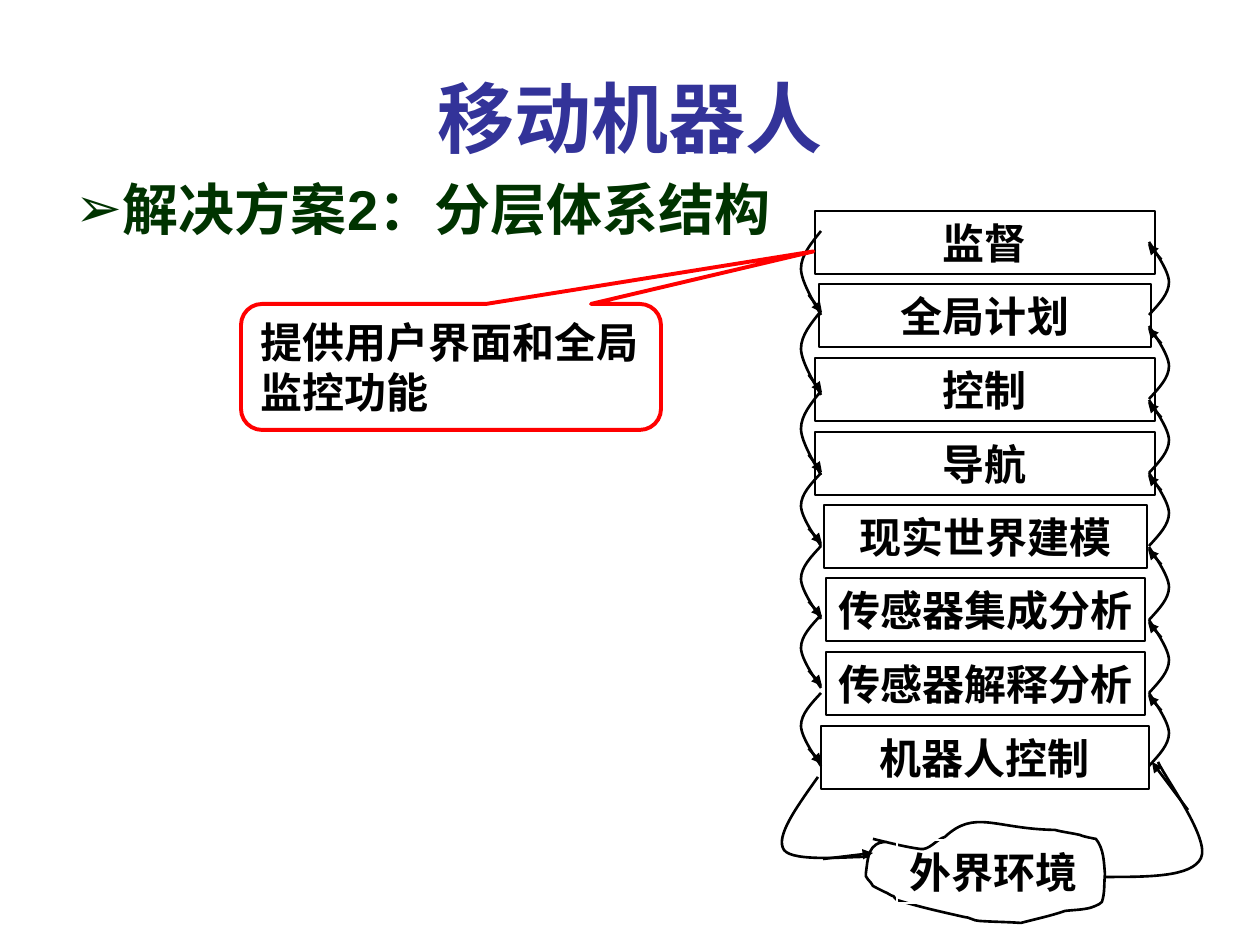
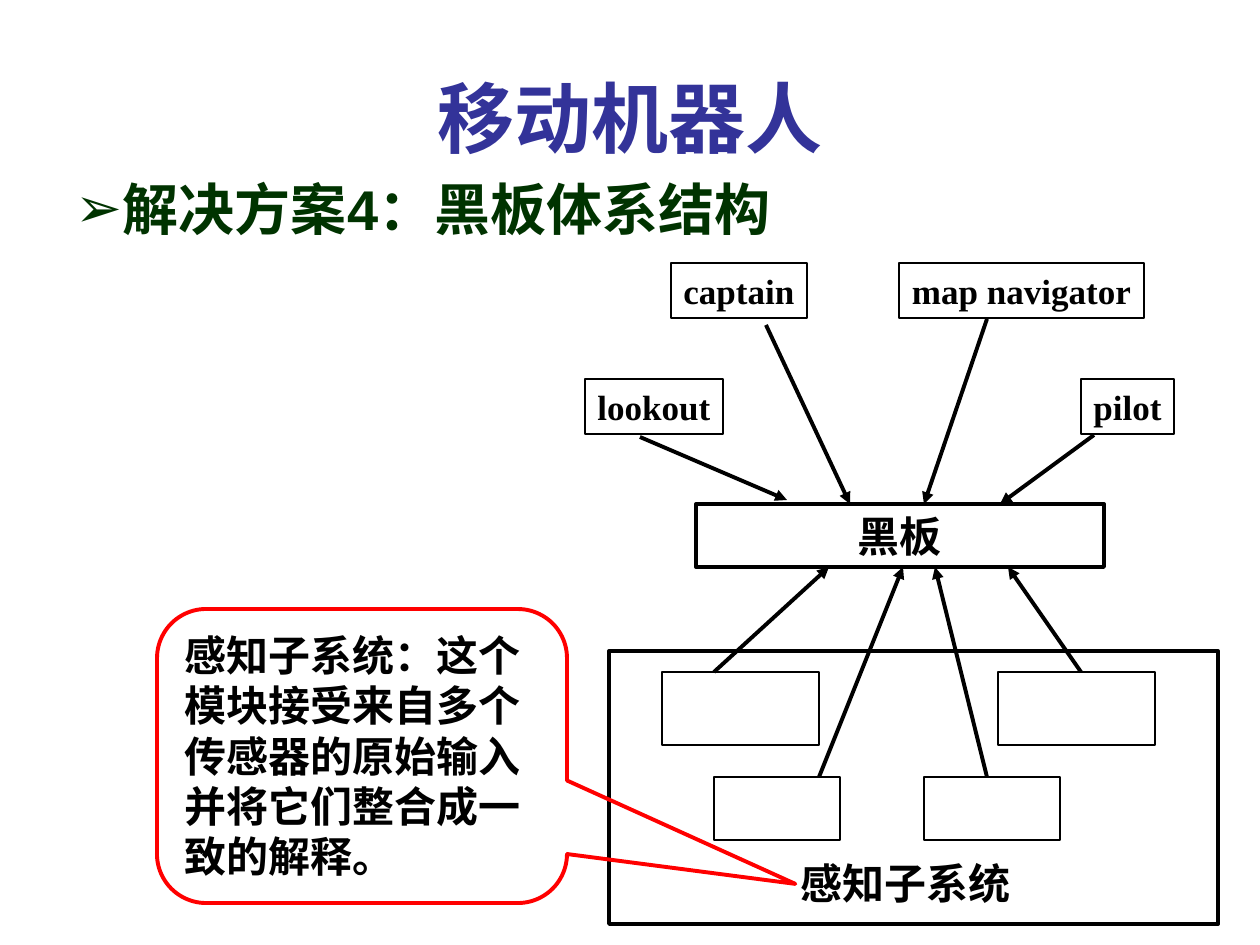
from dataclasses import dataclass
from typing import NamedTuple

from lxml.etree import SubElement
from pptx import Presentation
from pptx.dml.color import RGBColor as RGB
from pptx.enum.shapes import MSO_CONNECTOR as CONNECTOR, MSO_SHAPE as SHAPE
from pptx.enum.text import MSO_ANCHOR as ANCHOR, PP_ALIGN as ALIGN
from pptx.oxml.ns import qn
from pptx.util import Emu, Pt

PX = 914400 / 126  # EMU in one px
SLIDE_W, SLIDE_H = 1260, 945
INSET_X, INSET_Y = 13, 6


def px(n: float) -> Emu:
    return Emu(round(n * PX))


# --- Theme ---
class Style(NamedTuple):
    font: str
    size: int
    color: RGB
    align: ALIGN
    anchor: ANCHOR
    spacing: float | None = None  # fixed line height in points
    wrap: bool = True


@dataclass(frozen=True)
class Theme:
    latin: str = "Arial"
    serif: str = "Times New Roman"
    cjk: str = "Noto Sans CJK SC"
    black: RGB = RGB(0, 0, 0)
    white: RGB = RGB(255, 255, 255)
    red: RGB = RGB(255, 0, 0)
    blue: RGB = RGB(0x33, 0x33, 0x99)
    green: RGB = RGB(0, 0x33, 0)
    hairline: float = 0.75
    thin: float = 1.5
    thick: float = 2.25


T = Theme()
TITLE = Style(T.latin, 44, T.blue, ALIGN.CENTER, ANCHOR.MIDDLE)
HEADING = Style(T.latin, 32, T.green, ALIGN.LEFT, ANCHOR.TOP)
LABEL = Style(T.cjk, 24, T.black, ALIGN.CENTER, ANCHOR.MIDDLE, 28.8, False)
AGENT = Style(T.serif, 20, T.black, ALIGN.CENTER, ANCHOR.MIDDLE, None, False)
NOTE = Style(T.cjk, 24, T.black, ALIGN.LEFT, ANCHOR.TOP, 28.8)


# --- Parts ---
class Point(NamedTuple):
    x: float
    y: float


class Box(NamedTuple):
    x: int
    y: int
    w: int
    h: int
    text: str = ""
    weight: float = T.thin
    color: RGB = T.black
    style: Style = LABEL


class Callout(NamedTuple):
    box: Box
    tip: tuple[float, float]


class Arrow(NamedTuple):
    start: Point
    end: Point
    weight: float = T.thin


class Hook(NamedTuple):
    """Curved arrow from (x, y) that bulges by dx and ends dy further down."""
    x: int
    y: int
    dx: int
    dy: int


# --- Drawing ---
def apply(target: object, values: dict[str, object]) -> None:
    for name, value in values.items():
        setattr(target, name, value)


def write(s, text: str, style: Style):
    tf = s.text_frame
    apply(tf, {"word_wrap": style.wrap, "vertical_anchor": style.anchor,
               "margin_left": px(INSET_X), "margin_right": px(INSET_X),
               "margin_top": px(INSET_Y), "margin_bottom": px(INSET_Y)})
    p = tf.paragraphs[0]
    p.alignment = style.align
    if style.spacing:
        p.line_spacing = Pt(style.spacing)
    r = p.add_run()
    r.text = text
    apply(r.font, {"name": style.font, "size": Pt(style.size), "bold": True})
    r.font.color.rgb = style.color
    SubElement(r.font._element, qn("a:ea"), typeface=T.cjk)
    return p


def outline(s, color: RGB, weight: float) -> None:
    s.line.color.rgb = color
    s.line.width = Pt(weight)


def draw_box(slide, box: Box, kind: SHAPE = SHAPE.RECTANGLE):
    s = slide.shapes.add_shape(kind, *map(px, box[:4]))
    s.shadow.inherit = False
    s.fill.background()
    outline(s, box.color, box.weight)
    if box.text:
        write(s, box.text, box.style)
    return s


def draw_callout(slide, callout: Callout) -> None:
    s = draw_box(slide, callout.box, SHAPE.ROUNDED_RECTANGULAR_CALLOUT)
    for i, value in enumerate((*callout.tip, 0.167)):
        s.adjustments[i] = value


def draw_arrow(slide, arrow: Arrow) -> None:
    s = slide.shapes.add_connector(CONNECTOR.STRAIGHT, *map(px, (*arrow.start, *arrow.end)))
    outline(s, T.black, arrow.weight)
    sp = s.element.spPr
    SubElement(sp.find(qn("a:ln")), qn("a:tailEnd"), type="triangle")
    SubElement(sp, qn("a:effectLst"))


def draw_curve(slide, points: list[Point]) -> None:
    """Draw joined cubic curves: a start, then three points for each curve."""
    builder = slide.shapes.build_freeform(*map(px, points[0]), scale=1.0)
    builder.add_line_segments([(px(x), px(y)) for x, y in points[1:]], close=False)
    s = builder.convert_to_shape()
    # Each three line segments become one cubic curve
    lines = list(s.element.iter(qn("a:lnTo")))
    track = lines[0].getparent()
    for i in range(0, len(lines), 3):
        curve = SubElement(track, qn("a:cubicBezTo"))
        for line in lines[i:i + 3]:
            curve.append(line[0])
            track.remove(line)
    s.shadow.inherit = False
    s.fill.background()
    outline(s, T.black, T.thin)


HOOK_CURVE = ((0, 0), (0.5, 0.15), (1, 0.29), (1, 0.45), (1, 0.61), (0.2, 0.91), (0, 1))
HOOK_HEAD = ((0.62, 0.76), (-0.05, 0.97))


def draw_hook(slide, hook: Hook) -> None:
    def place(points) -> list[Point]:
        return [Point(hook.x + hook.dx * u, hook.y + hook.dy * v) for u, v in points]

    draw_curve(slide, place(HOOK_CURVE))
    draw_arrow(slide, Arrow(*place(HOOK_HEAD)))


def new_slide(prs, heading: str):
    slide = prs.slides.add_slide(prs.slide_layouts[6])
    s = slide.shapes.add_textbox(*map(px, (63, 168, 1166, 95)))
    p = write(s, heading, HEADING)
    pPr = p._p.get_or_add_pPr()
    pPr.set("marL", str(px(47)))
    pPr.set("indent", str(-px(47)))
    SubElement(SubElement(pPr, qn("a:buClr")), qn("a:srgbClr"), val=str(T.green))
    SubElement(pPr, qn("a:buFont"), typeface=T.latin)
    SubElement(pPr, qn("a:buChar"), char="➢")
    write(slide.shapes.add_textbox(*map(px, (63, 38, 1134, 158))), "移动机器人", TITLE)
    return slide


# --- Slide 1: layered architecture ---
STACK_CENTER, STACK_TOP, STACK_PITCH = 985, 211, 73.5
LAYERS = (("监督", 340), ("全局计划", 332), ("控制", 340), ("导航", 340),
          ("现实世界建模", 323), ("传感器集成分析", 319), ("传感器解释分析", 319),
          ("机器人控制", 328))
DOWN_HOOKS = ((231, 84), (311, 84), (391, 84), (473, 73), (546, 73), (615, 73), (693, 73))
UP_HOOKS = (766, 693, 620, 546, 473, 399, 315)
CLOUD = [Point(*xy) for xy in (
    (873, 839), (890, 843), (905, 847), (920, 849), (929, 851), (937, 839), (945, 837),
    (975, 809), (995, 829), (1055, 830), (1062, 832), (1071, 833), (1080, 835),
    (1084, 837), (1096, 839), (1096, 839), (1104, 849), (1104, 862), (1105, 874),
    (1104, 885), (1105, 893), (1102, 902), (1100, 905), (1090, 908), (1090, 908),
    (1082, 910), (1074, 910), (1065, 911), (1051, 916), (1036, 919), (1021, 923),
    (1007, 922), (993, 922), (979, 921), (974, 921), (969, 917), (964, 917),
    (942, 912), (919, 907), (897, 900), (887, 890), (900, 901), (887, 893),
    (882, 891), (873, 886), (873, 886), (871, 881), (864, 878), (866, 873),
    (868, 858), (868, 842), (887, 842))]
FROM_WORLD = [Point(*xy) for xy in ((1106, 877), (1149, 877), (1192, 877), (1201, 858),
                                    (1210, 839), (1166, 779), (1158, 762))]
TO_WORLD = [Point(*xy) for xy in ((818, 777), (796, 808), (775, 837), (784, 850),
                                  (793, 863), (856, 856), (869, 857))]


def layered_slide(prs) -> None:
    slide = new_slide(prs, "解决方案2：分层体系结构")
    for i, (name, width) in enumerate(LAYERS):
        top = round(STACK_TOP + i * STACK_PITCH)
        draw_box(slide, Box(STACK_CENTER - width // 2, top, width, 63, name))
    draw_curve(slide, CLOUD)
    draw_box(slide, Box(897, 840, 193, 63, "外界环境", T.hairline, T.white))
    for top, height in DOWN_HOOKS:
        draw_hook(slide, Hook(821, top, -20, height))
    for bottom in UP_HOOKS:
        draw_hook(slide, Hook(1149, bottom, 20, -73))
    draw_curve(slide, FROM_WORLD)
    draw_arrow(slide, Arrow(Point(1188, 810), Point(1152, 762)))
    draw_curve(slide, TO_WORLD)
    draw_arrow(slide, Arrow(Point(823, 859), Point(873, 853)))
    note = Box(241, 304, 420, 126, "提供用户界面和全局监控功能", T.thick, T.red, NOTE)
    draw_callout(slide, Callout(note, (0.863, -0.917)))


# --- Slide 2: blackboard architecture ---
BLACKBOARD = Box(696, 504, 408, 63, "黑板", T.thick)
SUBSYSTEM = Box(609, 651, 609, 273, weight=T.thick)
SENSORS = (Box(662, 672, 157, 73), Box(998, 672, 157, 73),
           Box(714, 777, 126, 63), Box(924, 777, 136, 63))
AGENTS = (("lookout", 585, 379, 138), ("captain", 671, 263, 136),
          ("map navigator", 899, 263, 245), ("pilot", 1081, 379, 93))
LINKS = ((640, 437, 787, 500), (766, 325, 850, 504), (987, 319, 924, 504),
         (1094, 435, 1000, 504), (714, 672, 829, 567), (819, 777, 903, 567),
         (987, 777, 935, 567), (1081, 672, 1008, 567))


def blackboard_slide(prs) -> None:
    slide = new_slide(prs, "解决方案4：黑板体系结构")
    caption = Box(789, 851, 234, 63, "感知子系统", T.hairline, T.white)
    agents = [Box(x, y, w, 55, name, style=AGENT) for name, x, y, w in AGENTS]
    for box in (BLACKBOARD, SUBSYSTEM, *SENSORS, caption, *agents):
        draw_box(slide, box)
    for x1, y1, x2, y2 in LINKS:
        draw_arrow(slide, Arrow(Point(x1, y1), Point(x2, y2), T.thick))
    text = "感知子系统：这个模块接受来自多个传感器的原始输入并将它们整合成一致的解释。"
    note = Box(157, 609, 410, 294, text, T.thick, T.red, NOTE)
    draw_callout(slide, Callout(note, (1.057, 0.435)))


def main() -> None:
    prs = Presentation()
    apply(prs, {"slide_width": px(SLIDE_W), "slide_height": px(SLIDE_H)})
    layered_slide(prs)
    blackboard_slide(prs)
    prs.save("out.pptx")


if __name__ == "__main__":
    main()
